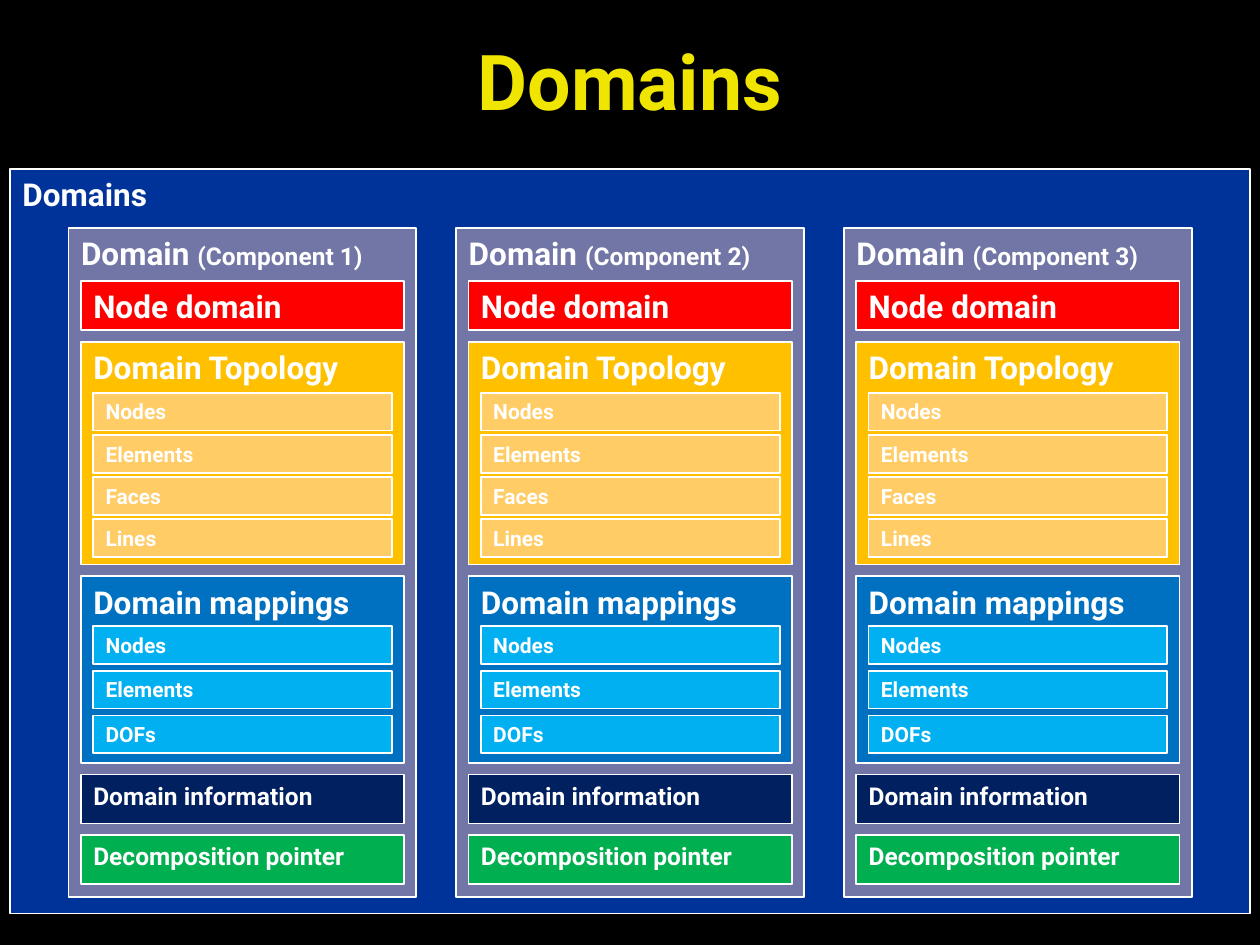
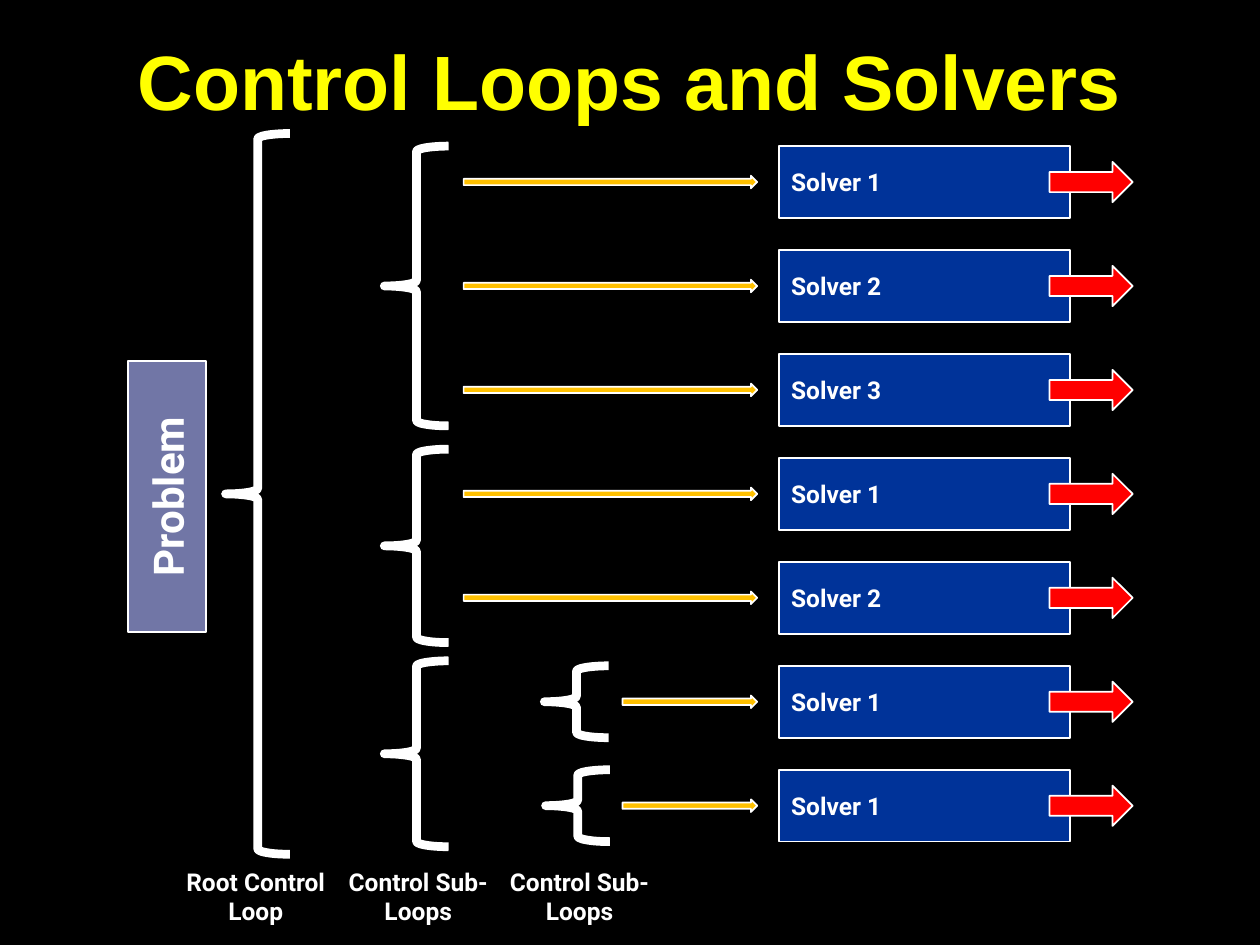
from dataclasses import dataclass

from pptx import Presentation
from pptx import util as u
from pptx.dml.color import RGBColor
from pptx.enum import shapes, text

# Slide size and the grid all lengths are counted in
WIDTH, HEIGHT = u.Inches(10), u.Inches(7.5)
COL, ROW = WIDTH / 100, HEIGHT / 75


@dataclass(frozen=True)
class Theme:
    back: str = "000000"
    ink: str = "FFFFFF"
    panel: str = "003399"
    frame: str = "7176A6"
    red: str = "FF0000"
    amber: str = "FFC000"
    sand: str = "FFCC66"
    blue: str = "0070C0"
    sky: str = "00B0F0"
    navy: str = "002060"
    green: str = "00B050"
    font: str = "Roboto"
    title: int = 44
    large: int = 24
    head: int = 18
    label: int = 14
    item: int = 12
    outline: int = 1
    brace: int = 5


T = Theme()


@dataclass(frozen=True)
class Box:
    x: float
    y: float
    w: float
    h: float

    def at(self, dx, dy, w, h):
        """A box offset from this one's top left corner."""
        return Box(self.x + dx, self.y + dy, w, h)

    def mid(self, dx, w, h):
        """A box centred on this one's height."""
        return self.at(dx, (self.h - h) / 2, w, h)

    def emu(self):
        return (round(self.x * COL), round(self.y * ROW),
                round(self.w * COL), round(self.h * ROW))


def rgb(color):
    return RGBColor.from_string(color)


def style(font, size, color=T.ink, name=T.font):
    font.size, font.name, font.bold = u.Pt(size), name, True
    font.color.rgb = rgb(color)


def add_shape(s, kind, box, fill=None, line=T.outline):
    sp = s.shapes.add_shape(kind, *box.emu())
    sp.shadow.inherit = False
    if fill:
        sp.fill.solid()
        sp.fill.fore_color.rgb = rgb(fill)
    else:
        sp.fill.background()
    sp.line.color.rgb = rgb(T.ink)
    sp.line.width = u.Pt(line)
    return sp


def add_block(s, box, fill, label, size, anchor=text.MSO_ANCHOR.TOP,
              align=text.PP_ALIGN.LEFT):
    sp = add_shape(s, shapes.MSO_SHAPE.RECTANGLE, box, fill)
    sp.text_frame.vertical_anchor = anchor
    p = sp.text_frame.paragraphs[0]
    p.text, p.alignment = label, align
    style(p.font, size)
    return sp


def add_arrow(s, box, fill):
    add_shape(s, shapes.MSO_SHAPE.RIGHT_ARROW, box, fill)


def add_slide(prs, title, box, color, font):
    s = prs.slides.add_slide(prs.slide_layouts[5])
    sp = s.shapes.title
    sp.left, sp.top, sp.width, sp.height = box.emu()
    sp.text_frame.vertical_anchor = text.MSO_ANCHOR.MIDDLE
    p = sp.text_frame.paragraphs[0]
    p.text, p.alignment = title, text.PP_ALIGN.CENTER
    style(p.font, T.title, color, font)
    return s


# Domains: label, fill, size, height, item fill, first item, item pitch, items
SECTIONS = [
    ("Node domain", T.red, T.head, 3.9, None, 0, 0, []),
    ("Domain Topology", T.amber, T.head, 17.7, T.sand, 4.05, 3.35,
     ["Nodes", "Elements", "Faces", "Lines"]),
    ("Domain mappings", T.blue, T.head, 14.8, T.sky, 3.95, 3.55,
     ["Nodes", "Elements", "DOFs"]),
    ("Domain information", T.navy, T.label, 3.9, None, 0, 0, []),
    ("Decomposition pointer", T.green, T.label, 3.9, None, 0, 0, []),
]
INSET, SECTION_GAP = 0.97, 0.92


def component(s, box, number):
    """One domain frame with its stack of sections."""
    sp = add_block(s, box, T.frame, "Domain ", T.head)
    r = sp.text_frame.paragraphs[0].add_run()
    r.text = f"(Component {number})"
    r.font.size = u.Pt(T.label)

    top = 4.2
    for label, fill, size, height, item_fill, first, pitch, items in SECTIONS:
        section = box.at(INSET, top, box.w - 2 * INSET, height)
        add_block(s, section, fill, label, size)
        for i, item in enumerate(items):
            cell = section.at(INSET, first + i * pitch, section.w - 2 * INSET, 3)
            add_block(s, cell, item_fill, item, T.item)
        top += height + SECTION_GAP


def domains(s, box):
    """The outer panel with three equal components."""
    add_block(s, box, T.panel, "Domains", T.head)
    for i in range(3):
        component(s, box.at(4.65 + 30.77 * i, 4.7, 27.6, 53.1), i + 1)


# Solvers: number and start of the arrow leading to each
SOLVERS = [(1, 26.7), (2, 26.7), (3, 26.7), (1, 26.7), (2, 26.7),
           (1, 39.3), (1, 39.3)]
ARROW_END = 50
SOLVER_H, SOLVER_PITCH = 5.7, 8.25
# Braces: left, first solver, last solver, overhang above and below
BRACES = [(7.8, 0, 6, 1), (20.4, 0, 2, 0), (20.4, 3, 4, 0.7),
          (20.4, 5, 6, 0.4), (33.1, 5, 5, 0), (33.2, 6, 6, 0)]
CAPTIONS = [(2.9, "Root Control Loop"), (15.8, "Control Sub-Loops"),
            (28.6, "Control Sub-Loops")]


def solver_row(s, row, number, arrow_start):
    add_arrow(s, row.mid(arrow_start, ARROW_END - arrow_start, 1), T.amber)
    add_block(s, row.at(51.7, 0, 23.1, row.h), T.panel, f"Solver {number}",
              T.label, text.MSO_ANCHOR.MIDDLE)
    add_arrow(s, row.mid(73.2, 6.6, 3.2), T.red)


def control_loops(s, box):
    """The problem, its nested loops and the solvers they run."""
    sp = add_block(s, box.at(-7.6, 24.7, 21.5, 6.2), T.frame, "Problem", T.large,
                   text.MSO_ANCHOR.MIDDLE, text.PP_ALIGN.CENTER)
    sp.rotation = 270

    for i, (number, arrow_start) in enumerate(SOLVERS):
        row = box.at(0, i * SOLVER_PITCH, box.w, SOLVER_H)
        solver_row(s, row, number, arrow_start)

    for left, first, last, over in BRACES:
        height = (last - first) * SOLVER_PITCH + SOLVER_H + 2 * over
        brace = box.at(left, first * SOLVER_PITCH - over, 5.1, height)
        add_shape(s, shapes.MSO_SHAPE.LEFT_BRACE, brace, line=T.brace)

    # Captions below the loops
    for left, caption in CAPTIONS:
        sp = s.shapes.add_textbox(*box.at(left, 56.7, 14.6, 5.7).emu())
        sp.text_frame.word_wrap = True
        p = sp.text_frame.paragraphs[0]
        p.text, p.alignment = caption, text.PP_ALIGN.CENTER
        style(p.font, T.label)


def main():
    prs = Presentation()
    prs.slide_width, prs.slide_height = WIDTH, HEIGHT
    fill = prs.slide_master.background.fill
    fill.solid()
    fill.fore_color.rgb = rgb(T.back)

    s = add_slide(prs, "Domains", Box(0, 0.1, 100, 12.5), "F0E500", T.font)
    domains(s, Box(0.8, 13.4, 98.4, 59.1))

    s = add_slide(prs, "Control Loops and Solvers", Box(5, 0.1, 90, 12.5),
                  "FFFF00", "Arial")
    control_loops(s, Box(10.1, 11.6, 79.8, 62.4))

    prs.save("out.pptx")


if __name__ == "__main__":
    main()
